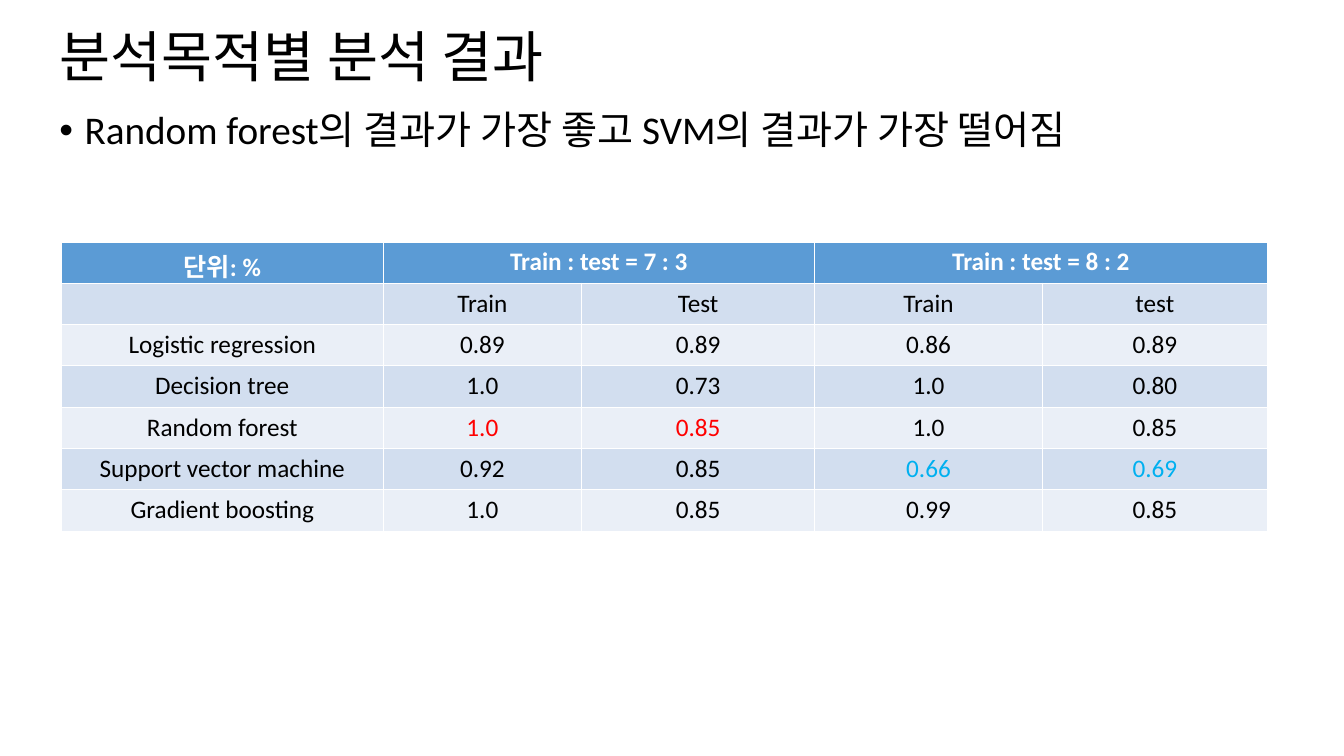
import pptx
import pptx.util
import pptx.dml.color
import pptx.enum.text
import pptx.oxml.ns
import lxml.etree

Inches = pptx.util.Inches
Pt = pptx.util.Pt
RGBColor = pptx.dml.color.RGBColor
ALIGN = pptx.enum.text.PP_ALIGN
ANCHOR = pptx.enum.text.MSO_ANCHOR

FONT = "Calibri"
BLACK = RGBColor(0x00, 0x00, 0x00)
WHITE = RGBColor(0xFF, 0xFF, 0xFF)
RED = RGBColor(0xFF, 0x00, 0x00)
CYAN = RGBColor(0x00, 0xB0, 0xF0)
BLUE = RGBColor(0x5B, 0x9B, 0xD5)
DARK = RGBColor(0xD2, 0xDE, 0xEF)
LIGHT = RGBColor(0xEA, 0xEF, 0xF7)

WIDTHS = [3.19, 1.97, 2.31, 2.26, 2.23]
HEIGHT = 0.41
ROWS = [
    ["단위: %", "Train : test = 7 : 3", "", "Train : test = 8 : 2", ""],
    ["", "Train", "Test", "Train", "test"],
    ["Logistic regression", "0.89", "0.89", "0.86", "0.89"],
    ["Decision tree", "1.0", "0.73", "1.0", "0.80"],
    ["Random forest", "1.0", "0.85", "1.0", "0.85"],
    ["Support vector machine", "0.92", "0.85", "0.66", "0.69"],
    ["Gradient boosting", "1.0", "0.85", "0.99", "0.85"],
]
MARKS = {(4, 1): RED, (4, 2): RED, (5, 3): CYAN, (5, 4): CYAN}


def add_run(para, text, size, color=BLACK, bold=False):
    run = para.add_run()
    run.text = text
    run.font.name = FONT
    run.font.size = Pt(size)
    run.font.bold = bold
    run.font.color.rgb = color


def set_title(slide, text):
    title = slide.shapes.title
    title.left, title.top = Inches(0.49), Inches(0.22)
    title.width, title.height = Inches(11.5), Inches(0.74)
    frame = title.text_frame
    frame.vertical_anchor = ANCHOR.MIDDLE
    para = frame.paragraphs[0]
    para.alignment = ALIGN.LEFT
    para.line_spacing = 0.9
    add_run(para, text, 39.6)


def add_point(slide, text):
    box = slide.shapes.add_textbox(
        Inches(0.49), Inches(1.05), Inches(12.43), Inches(6.23))
    box.text_frame.word_wrap = True
    para = box.text_frame.paragraphs[0]
    para.line_spacing = 0.9
    para.space_before = Pt(10)
    props = para._p.get_or_add_pPr()
    props.set("marL", str(Inches(0.25)))
    props.set("indent", str(-Inches(0.25)))
    qn = pptx.oxml.ns.qn
    lxml.etree.SubElement(props, qn("a:buFont"), typeface="Arial")
    lxml.etree.SubElement(props, qn("a:buChar"), char="•")
    add_run(para, text, 28)


def fill_cell(cell, text, fill, color, bold):
    cell.fill.solid()
    cell.fill.fore_color.rgb = fill
    para = cell.text_frame.paragraphs[0]
    para.alignment = ALIGN.CENTER
    if text:
        add_run(para, text, 18, color, bold)


def add_scores(slide):
    table = slide.shapes.add_table(
        len(ROWS), len(WIDTHS), Inches(0.61), Inches(2.4),
        Inches(sum(WIDTHS)), Inches(HEIGHT * len(ROWS))).table
    for col, width in zip(table.columns, WIDTHS):
        col.width = Inches(width)
    for row in table.rows:
        row.height = Inches(HEIGHT)
    for left in (1, 3):
        table.cell(0, left).merge(table.cell(0, left + 1))
    for r, texts in enumerate(ROWS):
        head = r == 0
        fill = BLUE if head else DARK if r % 2 else LIGHT
        for c, text in enumerate(texts):
            color = WHITE if head else MARKS.get((r, c), BLACK)
            fill_cell(table.cell(r, c), text, fill, color, head)


def main():
    deck = pptx.Presentation()
    deck.slide_width = Inches(13.33)
    deck.slide_height = Inches(7.5)
    slide = deck.slides.add_slide(deck.slide_layouts[5])
    set_title(slide, "분석목적별 분석 결과")
    add_point(slide, "Random forest의 결과가 가장 좋고 SVM의 결과가 가장 떨어짐")
    add_scores(slide)
    deck.save("out.pptx")


if __name__ == "__main__":
    main()
